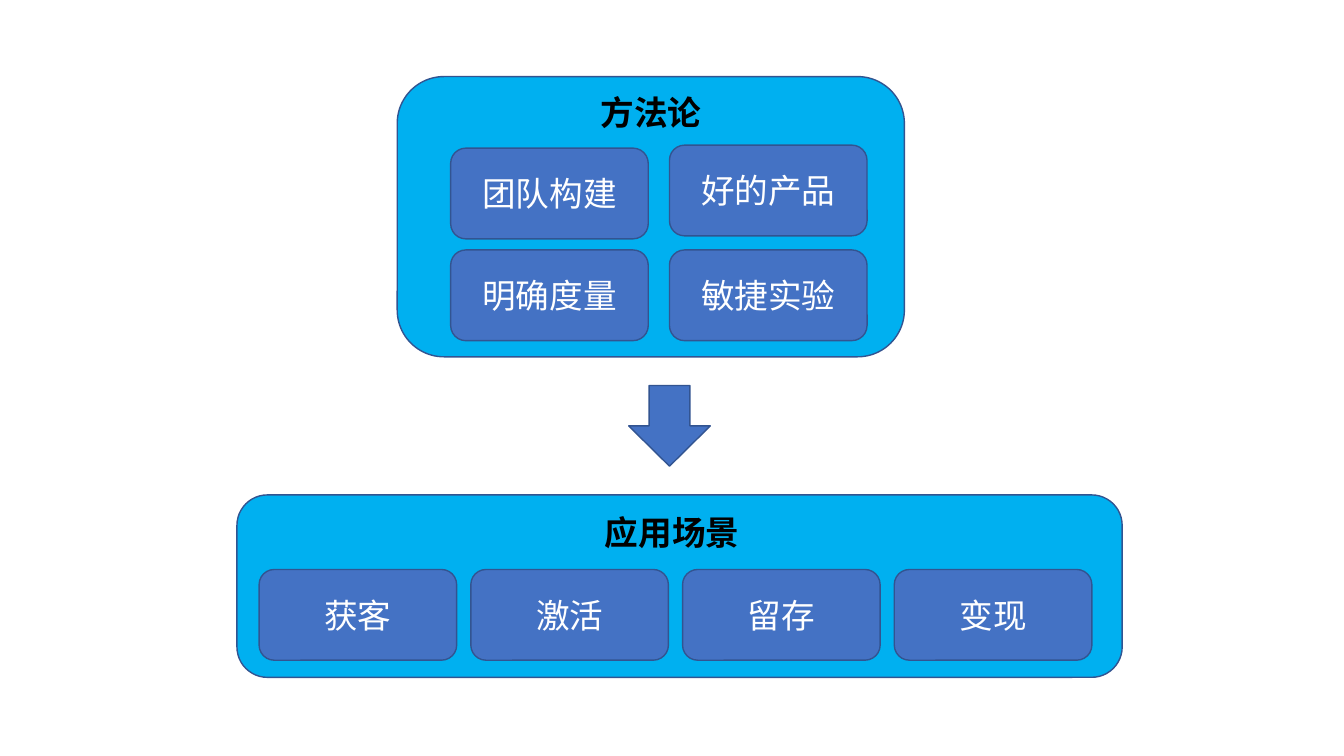
from dataclasses import dataclass

from lxml import etree
from pptx import Presentation
from pptx.dml.color import RGBColor
from pptx.enum import shapes, text
from pptx.oxml import ns
from pptx.util import Inches, Pt

SKY = RGBColor(0x00, 0xB0, 0xF0)
BLUE = RGBColor(0x44, 0x72, 0xC4)
NAVY = RGBColor(0x32, 0x54, 0x91)
WHITE = RGBColor(0xFF, 0xFF, 0xFF)
BLACK = RGBColor(0x00, 0x00, 0x00)
FONT = "Noto Sans CJK SC"
CARD_WIDTH, CARD_HEIGHT = 1.96, 0.9
HEADING_WIDTH, HEADING_HEIGHT = 2.89, 0.5


@dataclass(frozen=True)
class Card:
    label: str
    left: float
    top: float


@dataclass(frozen=True)
class Panel:
    heading: str
    heading_left: float
    heading_top: float
    left: float
    top: float
    width: float
    height: float
    cards: tuple[Card, ...]


SCENE_LABELS = ("获客", "激活", "留存", "变现")
PANELS = (
    Panel("应用场景", 5.22, 5.03, 2.35, 4.91, 8.78, 1.81,
          tuple(Card(label, 2.57 + 2.1 * column, 5.65)
                for column, label in enumerate(SCENE_LABELS))),
    Panel("方法论", 5.01, 0.86, 3.94, 0.76, 5.03, 2.78,
          (Card("团队构建", 4.47, 1.47), Card("好的产品", 6.64, 1.44),
           Card("明确度量", 4.47, 2.48), Card("敏捷实验", 6.64, 2.48))),
)


def add_block(page, kind, left: float, top: float, width: float,
              height: float, color: RGBColor):
    block = page.shapes.add_shape(
        kind, Inches(left), Inches(top), Inches(width), Inches(height))
    block.shadow.inherit = False
    block.fill.solid()
    block.fill.fore_color.rgb = color
    block.line.color.rgb = NAVY
    block.line.width = Pt(1)
    return block


def write_label(box, label: str, color: RGBColor, bold: bool = False) -> None:
    box.text_frame.text = label
    box.text_frame.word_wrap = True
    para = box.text_frame.paragraphs[0]
    para.alignment = text.PP_ALIGN.CENTER
    span = para.runs[0]
    span.font.size = Pt(24)
    span.font.bold = bold
    span.font.color.rgb = color
    span.font.name = FONT
    properties = span.font._element
    etree.SubElement(properties, ns.qn("a:ea")).set("typeface", FONT)


def add_panel(page, panel: Panel) -> None:
    rounded = shapes.MSO_SHAPE.ROUNDED_RECTANGLE
    add_block(page, rounded, panel.left, panel.top, panel.width,
              panel.height, SKY)
    for card in panel.cards:
        box = add_block(page, rounded, card.left, card.top, CARD_WIDTH,
                        CARD_HEIGHT, BLUE)
        box.text_frame.vertical_anchor = text.MSO_ANCHOR.MIDDLE
        write_label(box, card.label, WHITE)
    heading = page.shapes.add_textbox(
        Inches(panel.heading_left), Inches(panel.heading_top),
        Inches(HEADING_WIDTH), Inches(HEADING_HEIGHT))
    heading.text_frame.auto_size = text.MSO_AUTO_SIZE.SHAPE_TO_FIT_TEXT
    write_label(heading, panel.heading, BLACK, bold=True)


def main() -> None:
    deck = Presentation()
    deck.slide_width, deck.slide_height = Inches(13.33), Inches(7.5)
    page = deck.slides.add_slide(deck.slide_layouts[6])
    for panel in PANELS:
        add_panel(page, panel)
    arrow = add_block(page, shapes.MSO_SHAPE.RIGHT_ARROW,
                      6.24, 3.82, 0.8, 0.81, BLUE)
    arrow.rotation = 90
    deck.save("out.pptx")


if __name__ == "__main__":
    main()
